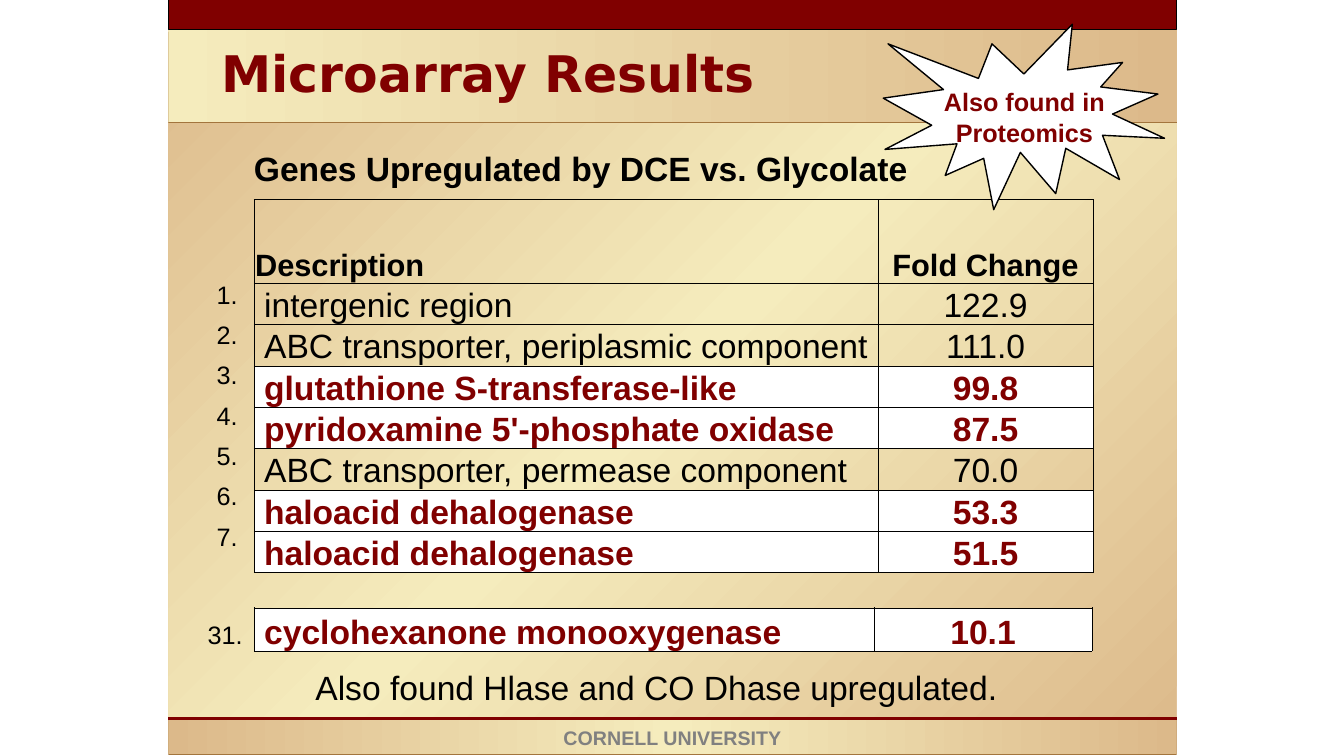
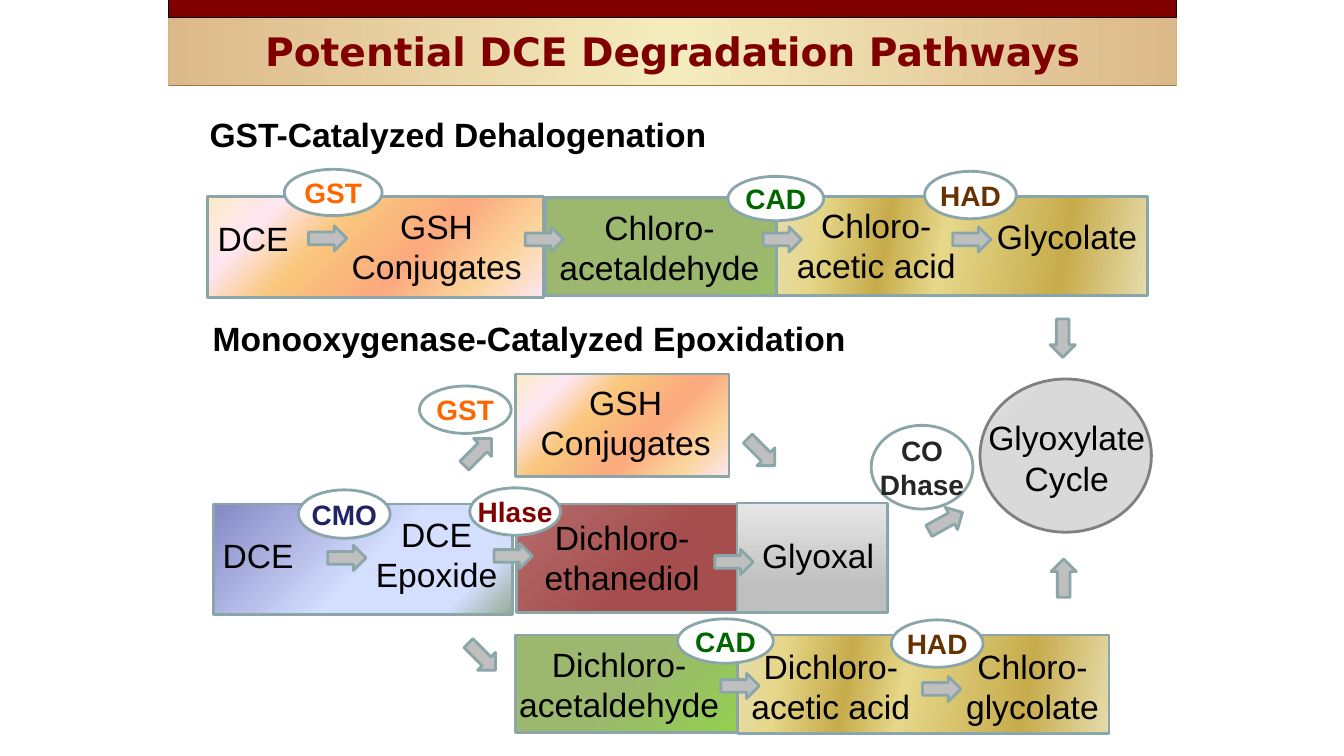
from typing import NamedTuple

from pptx import Presentation
from pptx.dml.color import RGBColor
from pptx.enum.shapes import MSO_CONNECTOR, MSO_SHAPE
from pptx.enum.text import MSO_ANCHOR, MSO_AUTO_SIZE, PP_ALIGN
from pptx.oxml import parse_xml
from pptx.oxml.ns import qn
from pptx.util import Emu, Pt

RECT, OVAL, ARROW = MSO_SHAPE.RECTANGLE, MSO_SHAPE.OVAL, MSO_SHAPE.RIGHT_ARROW
BURST = MSO_SHAPE.EXPLOSION1
STRAIGHT = MSO_CONNECTOR.STRAIGHT
LEFT, CENTER = PP_ALIGN.LEFT, PP_ALIGN.CENTER
MIDDLE, BOTTOM = MSO_ANCHOR.MIDDLE, MSO_ANCHOR.BOTTOM
GROW = MSO_AUTO_SIZE.SHAPE_TO_FIT_TEXT

EMU_PER_PX = 9144  # 100 px to the inch
XMLNS = 'xmlns:a="http://schemas.openxmlformats.org/drawingml/2006/main"'

BODY_FONT, TITLE_FONT = "Arial", "DejaVu Sans"
BLACK, WHITE, MAROON = "000000", "FFFFFF", "800000"
TAN, CREAM, BROWN = "DCB98A", "F5ECBD", "A3753D"
SILVER, SLATE, GRAY = "BFBFBF", "8AA6A8", "808080"
ORANGE, GREEN, UMBER, NAVY, CHARCOAL = "FF6600", "006600", "663300", "222267", "262626"

# The 4:3 area that holds the content
PAGE_LEFT, PAGE_WIDTH = 167, 1000


class Frame(NamedTuple):
    left: int
    top: int
    width: int
    height: int


class Stop(NamedTuple):
    position: int
    color: str
    opacity: int = 100


class Gradient(NamedTuple):
    stops: list[Stop]
    angle: int = 0
    radial: bool = False


class Style(NamedTuple):
    size: int = 24
    color: str = BLACK
    bold: bool = False
    font: str = BODY_FONT


class Gene(NamedTuple):
    name: str
    fold_change: str
    in_proteome: bool = False


class Block(NamedTuple):
    frame: Frame
    fill: Gradient
    shape: MSO_SHAPE = RECT
    outline: str = SLATE


class Badge(NamedTuple):
    text: str
    color: str
    frame: Frame


class Label(NamedTuple):
    text: str
    frame: Frame
    align: PP_ALIGN = CENTER


class Arrow(NamedTuple):
    left: int
    top: int
    rotation: float = 0


SHEEN_STOPS = [Stop(0, TAN), Stop(50, CREAM), Stop(100, TAN)]
SHEEN, DIAGONAL_SHEEN = Gradient(SHEEN_STOPS), Gradient(SHEEN_STOPS, 45)
FADE = Gradient([Stop(0, CREAM), Stop(100, TAN)])
PEACH = Gradient([Stop(0, "FBEAC7"), Stop(18, "FEE7F2"), Stop(36, "FAC77D"),
                  Stop(61, "FBA97D"), Stop(82, "FBD49C"), Stop(100, "FEE7F2")], 45)
LEAF = Gradient([Stop(50, "9CB86E"), Stop(100, "92D050"), Stop(100, "156B13")], 45)
GOLD = Gradient([Stop(0, "E6DCAC"), Stop(12, "E6D78A"), Stop(30, "C7AC4C"),
                 Stop(45, "E6D78A"), Stop(77, "C7AC4C"), Stop(100, "E6DCAC")], 10)
LILAC = Gradient([Stop(0, "8488C4"), Stop(53, "D4DEFF"),
                  Stop(83, "D4DEFF"), Stop(100, "96AB94")], 45)
WINE = Gradient([Stop(0, MAROON, 57), Stop(56, MAROON, 69)], 45)
STEEL = Gradient([Stop(23, SILVER), Stop(100, "E6E6E6")], 270)
DISC = Gradient([Stop(76, "D9D9D9"), Stop(100, "E6E6E6")], radial=True)

HEADING = Style(bold=True)
GENES = [
    Gene("intergenic region", "122.9"),
    Gene("ABC transporter, periplasmic component", "111.0"),
    Gene("glutathione S-transferase-like", "99.8", True),
    Gene("pyridoxamine 5'-phosphate oxidase", "87.5", True),
    Gene("ABC transporter, permease component", "70.0"),
    Gene("haloacid dehalogenase", "53.3", True),
    Gene("haloacid dehalogenase", "51.5", True),
]
LATE_GENE = Gene("cyclohexanone monooxygenase", "10.1", True)

BLOCKS = [
    Block(Frame(206, 195, 333, 100), PEACH),
    Block(Frame(541, 196, 405, 97), LEAF),
    Block(Frame(770, 195, 368, 98), GOLD),
    Block(Frame(212, 500, 296, 110), LILAC),
    Block(Frame(511, 371, 212, 102), PEACH),
    Block(Frame(512, 500, 221, 108), WINE),
    Block(Frame(511, 630, 220, 97), LEAF),
    Block(Frame(972, 376, 170, 152), DISC, OVAL, GRAY),
    Block(Frame(731, 499, 149, 109), STEEL),
    Block(Frame(732, 630, 368, 98), GOLD),
]
BADGES = [
    Badge("GST", ORANGE, Frame(282, 168, 97, 46)),
    Badge("CAD", GREEN, Frame(722, 175, 95, 44)),
    Badge("HAD", UMBER, Frame(917, 170, 91, 47)),
    Badge("CMO", NAVY, Frame(296, 486, 91, 48)),
    Badge("GST", ORANGE, Frame(416, 383, 91, 47)),
    Badge("Hlase", MAROON, Frame(466, 484, 90, 47)),
    Badge("CO\vDhase", CHARCOAL, Frame(864, 422, 101, 83)),
    Badge("HAD", UMBER, Frame(884, 615, 91, 47)),
    Badge("CAD", GREEN, Frame(672, 614, 95, 44)),
]
LABELS = [
    Label("DCE", Frame(206, 211, 95, 51), LEFT),
    Label("GSH Conjugates", Frame(336, 199, 194, 91)),
    Label("Chloro-acetaldehyde", Frame(542, 200, 224, 91)),
    Label("Chloro-acetic acid", Frame(772, 198, 194, 91)),
    Label("Glycolate", Frame(979, 209, 194, 51), LEFT),
    Label("DCE", Frame(211, 526, 95, 51), LEFT),
    Label("DCE Epoxide", Frame(336, 505, 194, 91)),
    Label("GSH Conjugates", Frame(515, 374, 211, 91)),
    Label("Dichloro-ethanediol", Frame(523, 508, 188, 91)),
    Label("Glyoxal", Frame(746, 526, 141, 51), LEFT),
    Label("Glyoxylate Cycle", Frame(961, 409, 194, 91)),
    Label("Dichloro-acetaldehyde", Frame(502, 634, 224, 91)),
    Label("Dichloro-acetic acid", Frame(727, 636, 194, 91)),
    Label("Chloro-glycolate", Frame(927, 636, 194, 91)),
]
ARROWS = [
    Arrow(306, 224), Arrow(521, 225), Arrow(757, 225), Arrow(945, 225),
    Arrow(325, 541), Arrow(490, 539), Arrow(709, 545),
    Arrow(715, 668), Arrow(915, 671),
    Arrow(455, 436, 315), Arrow(459, 639, 45), Arrow(736, 436, 45),
    Arrow(919, 505, 331.1), Arrow(1035, 323, 90), Arrow(1036, 561, 270),
]


def px(length: int) -> Emu:
    return Emu(length * EMU_PER_PX)


def rgb(color: str) -> RGBColor:
    return RGBColor.from_string(color)


def place(frame: Frame) -> list[Emu]:
    return [px(length) for length in frame]


def set_gradient(shape, gradient: Gradient) -> None:
    stops = "".join(
        f'<a:gs pos="{stop.position * 1000}"><a:srgbClr val="{stop.color}">'
        f'<a:alpha val="{stop.opacity * 1000}"/></a:srgbClr></a:gs>'
        for stop in gradient.stops)
    course = f'<a:lin ang="{gradient.angle * 60000}" scaled="0"/>'
    if gradient.radial:
        course = '<a:path path="circle"><a:fillToRect l="100000" t="100000"/></a:path>'
    shape.fill.background()
    properties = shape._element.spPr
    properties.replace(properties.find(qn("a:noFill")), parse_xml(
        f'<a:gradFill {XMLNS} rotWithShape="1"><a:gsLst>{stops}</a:gsLst>{course}</a:gradFill>'))


def add_shape(page, kind: MSO_SHAPE, frame: Frame, fill: str | Gradient,
              outline: str | None = None, weight: float = 2):
    shape = page.shapes.add_shape(kind, *place(frame))
    shape.shadow.inherit = False
    if isinstance(fill, Gradient):
        set_gradient(shape, fill)
    else:
        shape.fill.solid()
        shape.fill.fore_color.rgb = rgb(fill)
    if outline:
        shape.line.color.rgb = rgb(outline)
        shape.line.width = Pt(weight)
    else:
        shape.line.fill.background()
    return shape


def write(text_frame, text: str, style: Style, align: PP_ALIGN = LEFT) -> None:
    para = text_frame.paragraphs[0]
    para.text = text
    para.alignment = align
    para.font.size = Pt(style.size)
    para.font.name = style.font
    para.font.bold = style.bold
    para.font.color.rgb = rgb(style.color)


def add_text(page, frame: Frame, text: str, style: Style = Style(),
             align: PP_ALIGN = LEFT, wrap: bool = True) -> None:
    box = page.shapes.add_textbox(*place(frame))
    box.text_frame.word_wrap = wrap
    box.text_frame.auto_size = GROW
    write(box.text_frame, text, style, align)


def add_band(page, top: int, height: int, fill: Gradient) -> None:
    """A page-wide panel with a thin brown edge below."""
    band = add_shape(page, RECT, Frame(PAGE_LEFT, top, PAGE_WIDTH, height), fill)
    band._element.spPr.find(qn("a:effectLst")).append(parse_xml(
        f'<a:outerShdw {XMLNS} blurRad="0" dist="12700" dir="5400000" algn="ctr" '
        f'rotWithShape="0"><a:srgbClr val="{BROWN}"/></a:outerShdw>'))


def add_stripe(page, top: int, height: int) -> None:
    add_shape(page, RECT, Frame(PAGE_LEFT, top, PAGE_WIDTH, height), MAROON, BLACK, 0.75)


def add_title(page, frame: Frame, text: str, size: int, align: PP_ALIGN = LEFT) -> None:
    add_text(page, frame, text, Style(size, MAROON, True, TITLE_FONT), align)


def add_footer(page) -> None:
    add_band(page, 713, 35, SHEEN)
    rule = page.shapes.add_connector(
        STRAIGHT, px(PAGE_LEFT), px(713), px(PAGE_LEFT + PAGE_WIDTH), px(713))
    rule.line.color.rgb = rgb(MAROON)
    rule.line.width = Pt(2.25)
    rule._element.spPr.append(parse_xml(f"<a:effectLst {XMLNS}/>"))
    add_text(page, Frame(549, 715, 236, 33), "CORNELL UNIVERSITY",
             Style(14, GRAY, True), wrap=False)


def fill_cell(cell, text: str, style: Style, align: PP_ALIGN,
              indent: int, fill: str | None) -> None:
    cell.margin_left, cell.margin_right = px(indent), px(1)
    cell.margin_top, cell.margin_bottom = px(1), px(0)
    cell.vertical_anchor = BOTTOM
    write(cell.text_frame, text, style, align)
    if fill:
        cell.fill.solid()
        cell.fill.fore_color.rgb = rgb(fill)
    else:
        cell.fill.background()
    for index, side in enumerate(("lnL", "lnR", "lnT", "lnB")):
        cell._tc.tcPr.insert(index, parse_xml(
            f'<a:{side} {XMLNS} w="6350"><a:solidFill><a:srgbClr val="{BLACK}"/>'
            f"</a:solidFill></a:{side}>"))


def add_gene_table(page, top: int, widths: list[int], heights: list[int],
                   genes: list[Gene], header: bool = False) -> None:
    frame = Frame(252, top, sum(widths), sum(heights))
    table = page.shapes.add_table(len(heights), len(widths), *place(frame)).table
    table.first_row = table.horz_banding = False
    for column, width in zip(table.columns, widths):
        column.width = px(width)
    for row, height in zip(table.rows, heights):
        row.height = px(height)
    if header:
        style = Style(22, bold=True)
        fill_cell(table.cell(0, 0), "Description", style, LEFT, 1, None)
        fill_cell(table.cell(0, 1), "Fold Change", style, CENTER, 1, None)
    for row_index, gene in enumerate(genes, start=int(header)):
        style = Style(24, MAROON, True) if gene.in_proteome else Style()
        fill = WHITE if gene.in_proteome else None
        fill_cell(table.cell(row_index, 0), gene.name, style, LEFT, 10, fill)
        fill_cell(table.cell(row_index, 1), gene.fold_change, style, CENTER, 1, fill)


def build_results(page) -> None:
    # Background, bands and title
    add_shape(page, RECT, Frame(PAGE_LEFT, -2, PAGE_WIDTH, 750), DIAGONAL_SHEEN)
    add_band(page, 30, 91, FADE)
    add_stripe(page, -2, 31)
    add_footer(page)
    add_title(page, Frame(210, 37, 1000, 71), "Microarray Results", 36)
    add_text(page, Frame(242, 142, 711, 51), "Genes Upregulated by DCE vs. Glycolate", HEADING)
    # Ranks and tables
    for index in range(len(GENES)):
        add_text(page, Frame(205, 272 + 40 * index, 79, 40), f"{index + 1}.", Style(18))
    add_text(page, Frame(196, 609, 79, 40), "31.", Style(18))
    add_gene_table(page, 198, [619, 213], [83] + [41] * len(GENES), GENES, header=True)
    add_gene_table(page, 603, [615, 216], [43], [LATE_GENE])
    add_text(page, Frame(303, 657, 784, 51), "Also found Hlase and CO Dhase upregulated.")
    # Callout
    add_shape(page, BURST, Frame(876, 24, 279, 184), WHITE, BLACK, 1)
    add_text(page, Frame(915, 81, 202, 71), "Also found in Proteomics",
             Style(18, MAROON, True), CENTER)


def build_pathways(page) -> None:
    # Bands, title and headings
    add_band(page, 17, 67, SHEEN)
    add_stripe(page, 0, 17)
    add_title(page, Frame(PAGE_LEFT, 22, PAGE_WIDTH, 57),
              "Potential DCE Degradation Pathways", 28, CENTER)
    add_text(page, Frame(198, 108, 815, 51), "GST-Catalyzed Dehalogenation", HEADING)
    add_text(page, Frame(201, 310, 679, 51), "Monooxygenase-Catalyzed Epoxidation", HEADING)
    # Compounds, enzymes and reaction arrows
    for block in BLOCKS:
        add_shape(page, block.shape, block.frame, block.fill, block.outline)
    for badge in BADGES:
        oval = add_shape(page, OVAL, badge.frame, WHITE, SLATE)
        oval.text_frame.word_wrap = False
        oval.text_frame.vertical_anchor = MIDDLE
        write(oval.text_frame, badge.text, Style(20, badge.color, True), CENTER)
    for label in LABELS:
        add_text(page, label.frame, label.text, align=label.align)
    for arrow in ARROWS:
        shape = add_shape(page, ARROW, Frame(arrow.left, arrow.top, 38, 25), SILVER, SLATE)
        shape.rotation = arrow.rotation


def main() -> None:
    deck = Presentation()
    deck.slide_width, deck.slide_height = px(1333), px(750)
    blank = deck.slide_layouts[6]
    for build in (build_results, build_pathways):
        build(deck.slides.add_slide(blank))
    deck.save("out.pptx")


if __name__ == "__main__":
    main()
